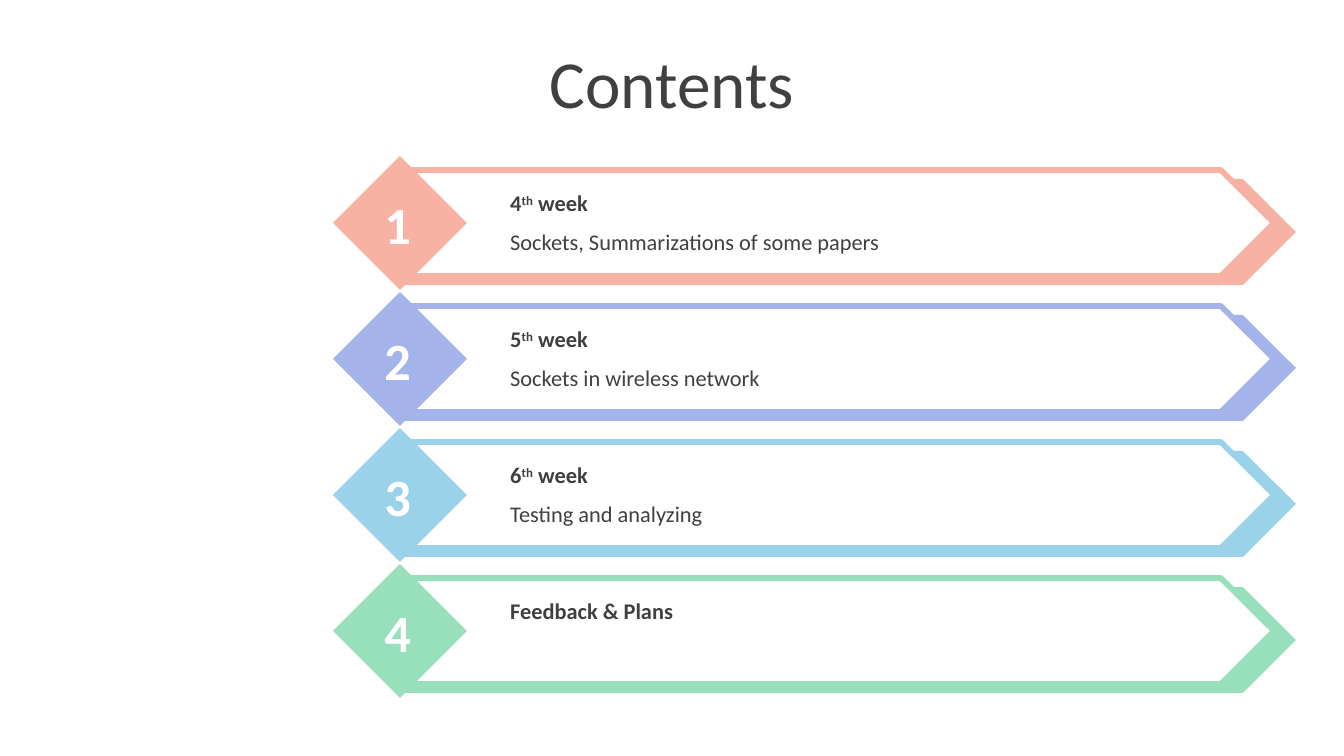
from dataclasses import dataclass

from pptx import Presentation
from pptx import util as u
from pptx.dml.color import RGBColor
from pptx.enum import shapes, text

# Content: colour, heading as (base, superscript, rest), detail
TITLE = "Contents"
ROWS = [
    ("F8B2A3", ("4", "th", " week"), "Sockets, Summarizations of some papers"),
    ("A4B4EA", ("5", "th", " week"), "Sockets in wireless network"),
    ("9AD3E9", ("6", "th", " week"), "Testing and analyzing"),
    ("98DFBB", ("Feedback & Plans", "", ""), ""),
]


@dataclass(frozen=True)
class Theme:
    font: str = "Calibri"
    ink: str = "404040"
    white: str = "FFFFFF"
    title: int = 36
    number: int = 28
    body: int = 12
    outline: int = 3


THEME = Theme()

# Layout in px: left, top, width, height; the parts of a row are those of row 1
PX = 914400 / 134.4
SLIDE = (1344, 756)
TITLE_BOX = (0, 39, 1344, 85)
PITCH = 136
BACK = (404, 179, 892, 106)
FRONT = (404, 170, 870, 106)
DIAMOND = (333, 156, 134, 134)
NUMBER = (368, 185, 59, 77)
HEADING = (497, 183, 699, 40)
DETAIL = (497, 222, 699, 40)


def emu(*lengths):
    return [u.Emu(round(n * PX)) for n in lengths]


def add_shape(s, kind, box, fill, line=None):
    sp = s.shapes.add_shape(kind, *emu(*box))
    sp.shadow.inherit = False
    sp.fill.solid()
    sp.fill.fore_color.rgb = RGBColor.from_string(fill)
    if line:
        sp.line.color.rgb = RGBColor.from_string(line)
        sp.line.width = u.Pt(THEME.outline)
    else:
        sp.line.fill.background()


def add_text(s, box, parts, size, color=THEME.ink, bold=False, centred=False):
    """Add one paragraph; the second of the parts is raised."""
    tf = s.shapes.add_textbox(*emu(*box)).text_frame
    tf.word_wrap = True
    p = tf.paragraphs[0]
    if centred:
        tf.vertical_anchor = text.MSO_ANCHOR.MIDDLE
        p.alignment = text.PP_ALIGN.CENTER
    p.font.name, p.font.size, p.font.bold = THEME.font, u.Pt(size), bold
    p.font.color.rgb = RGBColor.from_string(color)
    for i, part in enumerate(parts):
        if part:
            r = p.add_run()
            r.text = part
            if i == 1:
                r._r.get_or_add_rPr().set("baseline", "30000")


def add_row(s, index, color, heading, detail):
    def place(box):
        left, top, width, height = box
        return left, top + index * PITCH, width, height

    # Banner and its coloured backing
    add_shape(s, shapes.MSO_SHAPE.PENTAGON, place(BACK), color)
    add_shape(s, shapes.MSO_SHAPE.PENTAGON, place(FRONT), THEME.white, color)

    # Numbered diamond
    add_shape(s, shapes.MSO_SHAPE.DIAMOND, place(DIAMOND), color)
    add_text(s, place(NUMBER), [str(index + 1)], THEME.number, THEME.white,
             bold=True, centred=True)

    # Wording
    add_text(s, place(HEADING), heading, THEME.body, bold=True)
    if detail:
        add_text(s, place(DETAIL), [detail], THEME.body)


def main():
    prs = Presentation()
    prs.slide_width, prs.slide_height = emu(*SLIDE)
    s = prs.slides.add_slide(prs.slide_layouts[6])
    add_text(s, TITLE_BOX, [TITLE], THEME.title, centred=True)
    for index, row in enumerate(ROWS):
        add_row(s, index, *row)
    prs.save("out.pptx")


if __name__ == "__main__":
    main()
